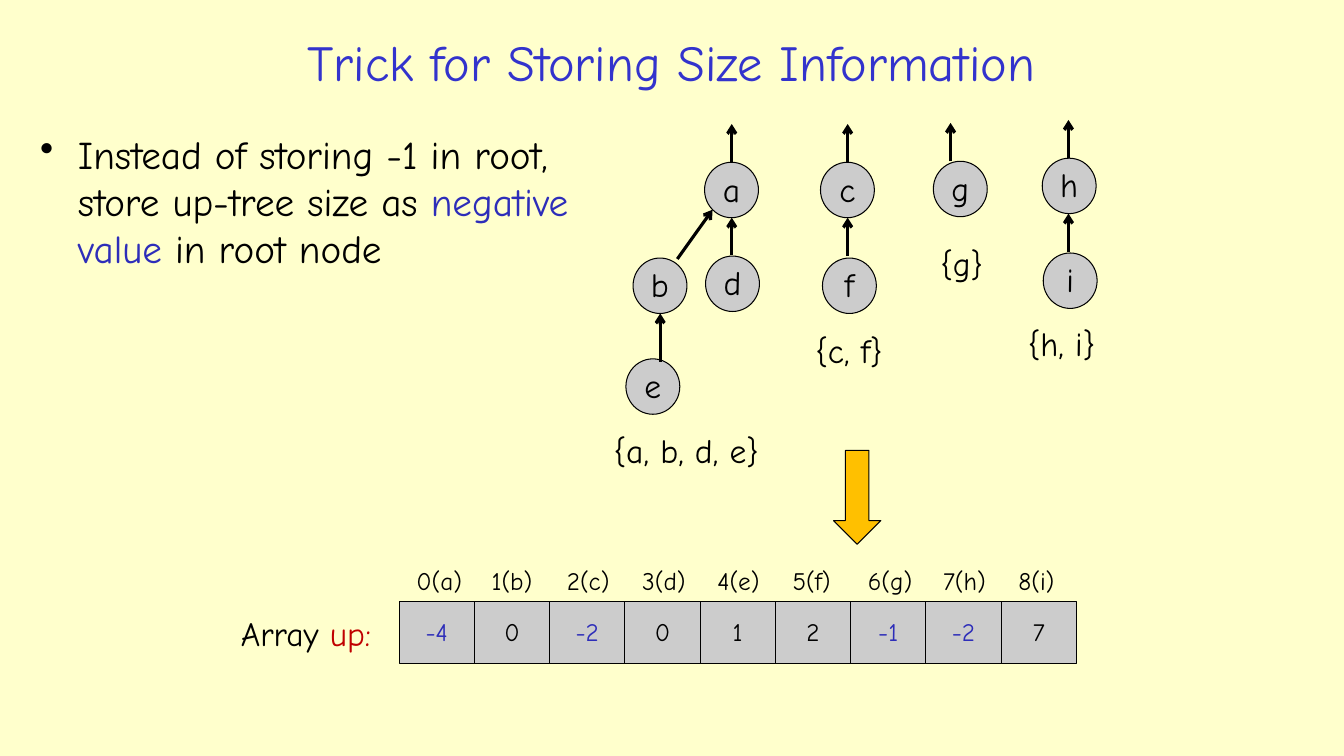
from lxml import etree
from pptx import Presentation
from pptx.dml.color import RGBColor
from pptx.enum import shapes, text
from pptx.oxml.ns import qn
from pptx.util import Pt

FONT = "Comic Neue"
CREAM = RGBColor(0xFF, 0xFF, 0xCC)
BLACK = RGBColor(0x00, 0x00, 0x00)
GRAY = RGBColor(0xCC, 0xCC, 0xCC)
TITLE_BLUE = RGBColor(0x33, 0x33, 0xCC)
BLUE = RGBColor(0x2D, 0x2D, 0xB9)
RED = RGBColor(0xC0, 0x00, 0x00)
GOLD = RGBColor(0xFF, 0xC0, 0x00)

prs = Presentation()
prs.slide_width, prs.slide_height = Pt(960), Pt(540)
slide = prs.slides.add_slide(prs.slide_layouts[6])
slide.background.fill.solid()
slide.background.fill.fore_color.rgb = CREAM


def add_text(left, top, width, height, runs, size, wrap=False):
    frame = slide.shapes.add_textbox(Pt(left), Pt(top), Pt(width), Pt(height)).text_frame
    frame.word_wrap = wrap
    paragraph = frame.paragraphs[0]
    for words, color in runs:
        run = paragraph.add_run()
        run.text = words
        run.font.color.rgb = color
    paragraph.font.name, paragraph.font.size = FONT, Pt(size)
    return frame


def add_box(kind, left, top, width, height, fill, label="", size=24, color=BLACK):
    box = slide.shapes.add_shape(kind, Pt(left), Pt(top), Pt(width), Pt(height))
    box.shadow.inherit = False
    box.fill.solid()
    box.fill.fore_color.rgb = fill
    box.line.color.rgb, box.line.width = BLACK, Pt(0.75)
    if label:
        frame = box.text_frame
        frame.word_wrap = False
        frame.margin_top, frame.margin_bottom = 0, Pt(2)
        frame.vertical_anchor = text.MSO_ANCHOR.MIDDLE
        paragraph = frame.paragraphs[0]
        paragraph.text = label
        paragraph.alignment = text.PP_ALIGN.CENTER
        paragraph.font.name, paragraph.font.size = FONT, Pt(size)
        paragraph.font.color.rgb = color
    return box


# Title
title = add_text(134, 18.7, 691, 49.7, [("Trick for Storing Size Information", TITLE_BLUE)], 36, True)
title.vertical_anchor = text.MSO_ANCHOR.MIDDLE
title.paragraphs[0].alignment = text.PP_ALIGN.CENTER

# Bulleted explanation
idea = add_text(21.6, 89.3, 396.7, 229, [
    ("Instead of storing -1 in root, store up-tree size as ", BLACK),
    ("negative value ", BLUE),
    ("in root node", BLACK),
], 28, True)
idea_format = idea.paragraphs[0]._p.get_or_add_pPr()
idea_format.set("marL", str(Pt(27)))
idea_format.set("indent", str(Pt(-27)))
bullet = etree.Element(qn("a:buChar"), char="•")
idea_format.insert(0, bullet)

# Up-tree nodes
nodes = [
    ("a", 503.3, 115.9), ("b", 452.2, 184.3), ("d", 504, 182.9),
    ("e", 447.1, 256.3), ("c", 586.1, 115.9), ("f", 587.5, 184.3),
    ("g", 666.7, 115.2), ("h", 744.5, 113), ("i", 745.2, 180.7),
]
for letter, left, top in nodes:
    add_box(shapes.MSO_SHAPE.OVAL, left, top, 38.5, 39.6, GRAY, letter)

# Pointers from child to parent, and upward from each root
pointers = [
    (483.8, 185, 509, 149.8),        # b to a
    (522.7, 182.2, 522.7, 155.5),    # d to a
    (471.6, 258.5, 471.6, 223.9),    # e to b
    (605.5, 182.9, 605.5, 155.5),    # f to c
    (763.2, 180, 763.2, 152.6),      # i to h
    (522.7, 115.9, 522.7, 88.6),     # root a
    (605.5, 115.9, 605.5, 88.6),     # root c
    (679, 115.2, 679, 87.8),         # root g
    (763.2, 113, 763.2, 85.7),       # root h
]
for x1, y1, x2, y2 in pointers:
    pointer = slide.shapes.add_connector(
        shapes.MSO_CONNECTOR.STRAIGHT, Pt(x1), Pt(y1), Pt(x2), Pt(y2))
    pointer.line.color.rgb, pointer.line.width = BLACK, Pt(2.25)
    etree.SubElement(pointer.line._get_or_add_ln(), qn("a:tailEnd"), type="arrow")
    etree.SubElement(pointer._element.spPr, qn("a:effectLst"))

# Set captions
captions = [
    ("{a, b, d, e}", 431.3, 303.8, 128), ("{c, f}", 575.3, 231.8, 71),
    ("{g}", 664.6, 169.9, 46), ("{h, i}", 727.2, 226.8, 67),
]
for members, left, top, width in captions:
    add_text(left, top, width, 36.5, [(members, BLACK)], 24)

# Array of parents, with negative sizes at the roots
CELL_LEFT, CELL_WIDTH = 285.1, 53.75
for index, (letter, value) in enumerate(zip("abcdefghi", [-4, 0, -2, 0, 1, 2, -1, -2, 7])):
    left = CELL_LEFT + index * CELL_WIDTH
    add_box(shapes.MSO_SHAPE.RECTANGLE, left, 429.8, CELL_WIDTH, 43.9, GRAY,
            str(value), 18, BLUE if value < 0 else BLACK)
    add_text(left + 5.2, 400.3, 48.5, 29, [(f"{index}({letter})", BLACK)], 18)
add_text(164.9, 434.2, 120, 36.5, [("Array ", BLACK), ("up:", RED)], 24)

# Arrow from the trees to the array
add_box(shapes.MSO_SHAPE.DOWN_ARROW, 595.4, 321.8, 33.8, 67, GOLD)

prs.save("out.pptx")
